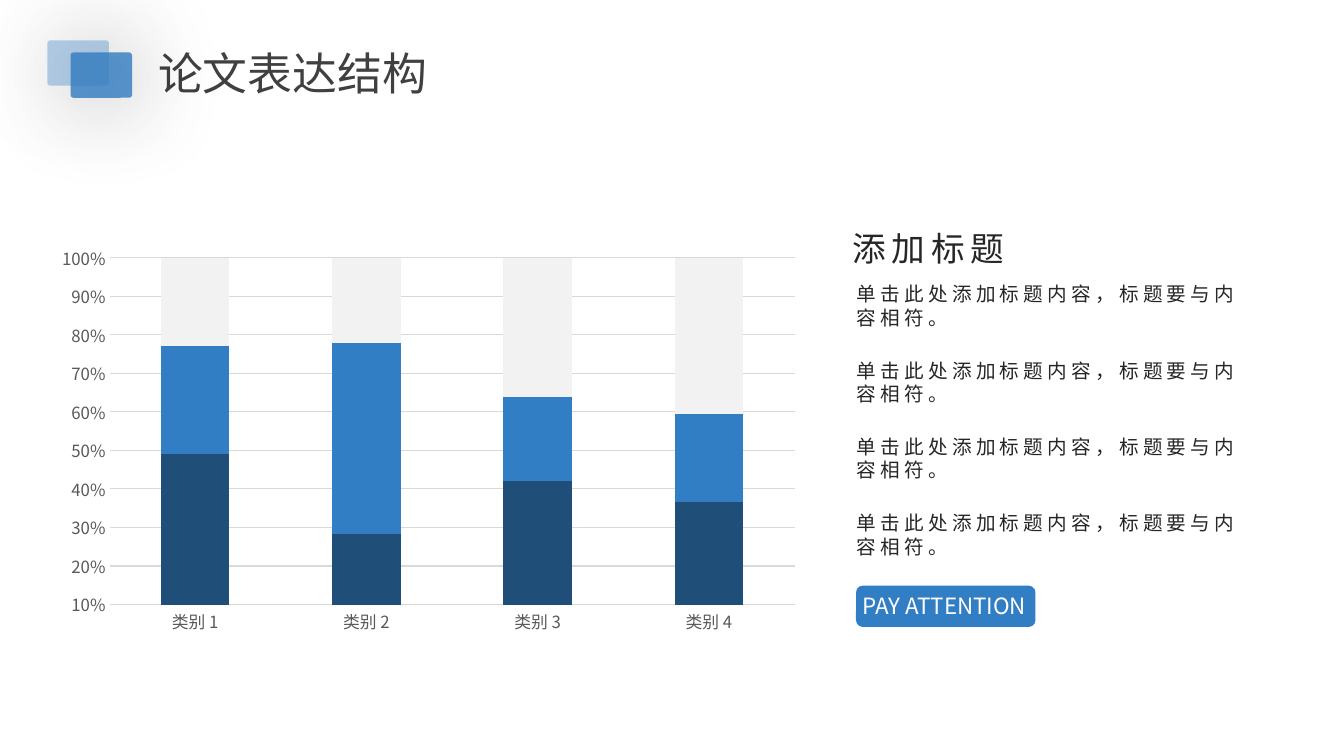
from dataclasses import dataclass

from lxml import etree
from pptx import Presentation
from pptx.chart.data import CategoryChartData
from pptx.dml.color import RGBColor
from pptx.enum.chart import XL_CHART_TYPE, XL_TICK_MARK
from pptx.enum.shapes import MSO_SHAPE
from pptx.enum.text import MSO_AUTO_SIZE, PP_ALIGN
from pptx.oxml.ns import qn
from pptx.util import Inches, Pt

STACK = XL_CHART_TYPE.COLUMN_STACKED_100
NO_TICK = XL_TICK_MARK.NONE
ROUND = MSO_SHAPE.ROUNDED_RECTANGLE
GROW = MSO_AUTO_SIZE.SHAPE_TO_FIT_TEXT
LEFT, CENTER, JUSTIFY = PP_ALIGN.LEFT, PP_ALIGN.CENTER, PP_ALIGN.JUSTIFY

FONT = "Noto Sans CJK SC"
COLORS = {
    "title": "404040", "body": "262626", "axis": "595959", "grid": "D9D9D9",
    "navy": "1F4E79", "blue": "327EC4", "pale": "F2F2F2",
    "white": "FFFFFF", "black": "000000",
}


@dataclass
class Label:
    text: str
    x: float
    y: float
    w: float
    h: float
    size: int
    color: str
    gap: int = 0
    align: PP_ALIGN = LEFT


@dataclass
class Tile:
    x: float
    y: float
    w: float
    h: float
    round: float
    alpha: int = 100
    glow: bool = False


@dataclass
class Series:
    name: str
    values: tuple[int, ...]
    color: str


NOTE = "单击此处添加标题内容，标题要与内容相符。"
TITLE = Label("论文表达结构", 1.47, 0.4, 3.78, 0.64, 32, "title", align=JUSTIFY)
HEAD = Label("添加标题", 8.36, 2.21, 2.26, 0.5, 24, "body", 4)
NOTES = [Label(NOTE, 8.4, 2.75 + 0.757 * i, 4.08, 0.57, 14, "body", 3)
         for i in range(4)]
CALL = Label("PAY ATTENTION ", 8.21, 5.83, 2.36, 0.37, 16, "white", align=CENTER)
BUTTON = Tile(8.49, 5.81, 1.78, 0.41, 0.167)
LOGO = [
    Tile(0.7, 0.52, 0.61, 0.45, 0.066, 80, True),
    Tile(0.47, 0.4, 0.61, 0.45, 0.066, 35, True),
]
CATS = [f"类别 {i}" for i in range(1, 5)]
SERIES = [
    Series("Series 1", (49, 28, 42, 37), "navy"),
    Series("Series 2", (28, 49, 22, 23), "blue"),
    Series("Series 3", (23, 22, 36, 41), "pale"),
]
PLOT = {"x": 0.083, "y": 0.16, "w": 0.9, "h": 0.735}


def rgb(name: str) -> RGBColor:
    return RGBColor.from_string(COLORS[name])


def node(parent, tag: str, **attrs):
    return etree.SubElement(parent, qn(tag), {k: str(v) for k, v in attrs.items()})


def style(font, size: int, color: str) -> None:
    font.name = FONT
    font.size = Pt(size)
    font.color.rgb = rgb(color)


def add_label(shapes, item: Label) -> None:
    box = shapes.add_textbox(*map(Inches, (item.x, item.y, item.w, item.h)))
    frame = box.text_frame
    frame.word_wrap = True
    frame.auto_size = GROW
    para = frame.paragraphs[0]
    para.alignment = item.align
    run = para.add_run()
    run.text = item.text
    style(run.font, item.size, item.color)
    props = run._r.get_or_add_rPr()
    node(props, "a:ea", typeface=FONT)
    if item.gap:
        props.set("spc", str(item.gap * 100))


def add_tile(shapes, item: Tile) -> None:
    tile = shapes.add_shape(ROUND, *map(Inches, (item.x, item.y, item.w, item.h)))
    tile.adjustments[0] = item.round
    tile.shadow.inherit = False
    tile.fill.solid()
    tile.fill.fore_color.rgb = rgb("blue")
    tile.line.fill.background()
    props = tile.element.spPr
    if item.alpha < 100:
        tint = props.find(f"{qn('a:solidFill')}/{qn('a:srgbClr')}")
        node(tint, "a:alpha", val=item.alpha * 1000)
    if item.glow:
        shade = node(props.find(qn("a:effectLst")), "a:outerShdw",
                     blurRad=Pt(70), dist=Pt(3), dir=45 * 60000,
                     algn="tl", rotWithShape=0)
        tint = node(shade, "a:srgbClr", val=COLORS["black"])
        node(tint, "a:alpha", val=40000)


def set_plot(chart) -> None:
    area = chart.element.find(f".//{qn('c:plotArea')}")
    old = area.find(qn("c:layout"))
    if old is not None:
        area.remove(old)
    layout = etree.Element(qn("c:layout"))
    area.insert(0, layout)
    manual = node(layout, "c:manualLayout")
    node(manual, "c:layoutTarget", val="inner")
    for key in "xy":
        node(manual, f"c:{key}Mode", val="edge")
    for key, val in PLOT.items():
        node(manual, f"c:{key}", val=val)


def add_bars(shapes) -> None:
    data = CategoryChartData()
    data.categories = CATS
    for item in SERIES:
        data.add_series(item.name, item.values)
    place = map(Inches, (0.46, 1.81, 7.55, 4.68))
    chart = shapes.add_chart(STACK, *place, data).chart
    chart.has_legend = False
    chart.has_title = False
    style(chart.font, 10, "black")
    plot = chart.plots[0]
    plot.gap_width = 150
    plot.overlap = 100
    plot.vary_by_categories = False
    for item, bars in zip(SERIES, plot.series):
        bars.format.fill.solid()
        bars.format.fill.fore_color.rgb = rgb(item.color)
        bars.invert_if_negative = False
    cat, val = chart.category_axis, chart.value_axis
    for axis in (cat, val):
        axis.major_tick_mark = axis.minor_tick_mark = NO_TICK
        style(axis.tick_labels.font, 12, "axis")
    val.minimum_scale, val.maximum_scale, val.major_unit = 0.1, 1, 0.1
    val.tick_labels.number_format = "0%"
    val.tick_labels.number_format_is_linked = False
    val.format.line.fill.background()
    for line in (cat.format.line, val.major_gridlines.format.line):
        line.color.rgb = rgb("grid")
        line.width = Pt(0.75)
    for props in chart.element.iter(qn("a:defRPr")):
        node(props, "a:ea", typeface=FONT)
    set_plot(chart)


def main() -> None:
    deck = Presentation()
    deck.slide_width, deck.slide_height = Inches(13.33), Inches(7.5)
    shapes = deck.slides.add_slide(deck.slide_layouts[6]).shapes
    add_label(shapes, TITLE)
    logo = shapes.add_group_shape().shapes
    for item in LOGO:
        add_tile(logo, item)
    add_bars(shapes)
    for item in NOTES:
        add_label(shapes, item)
    call = shapes.add_group_shape().shapes
    add_tile(call, BUTTON)
    add_label(call, CALL)
    add_label(shapes, HEAD)
    deck.save("out.pptx")


if __name__ == "__main__":
    main()
